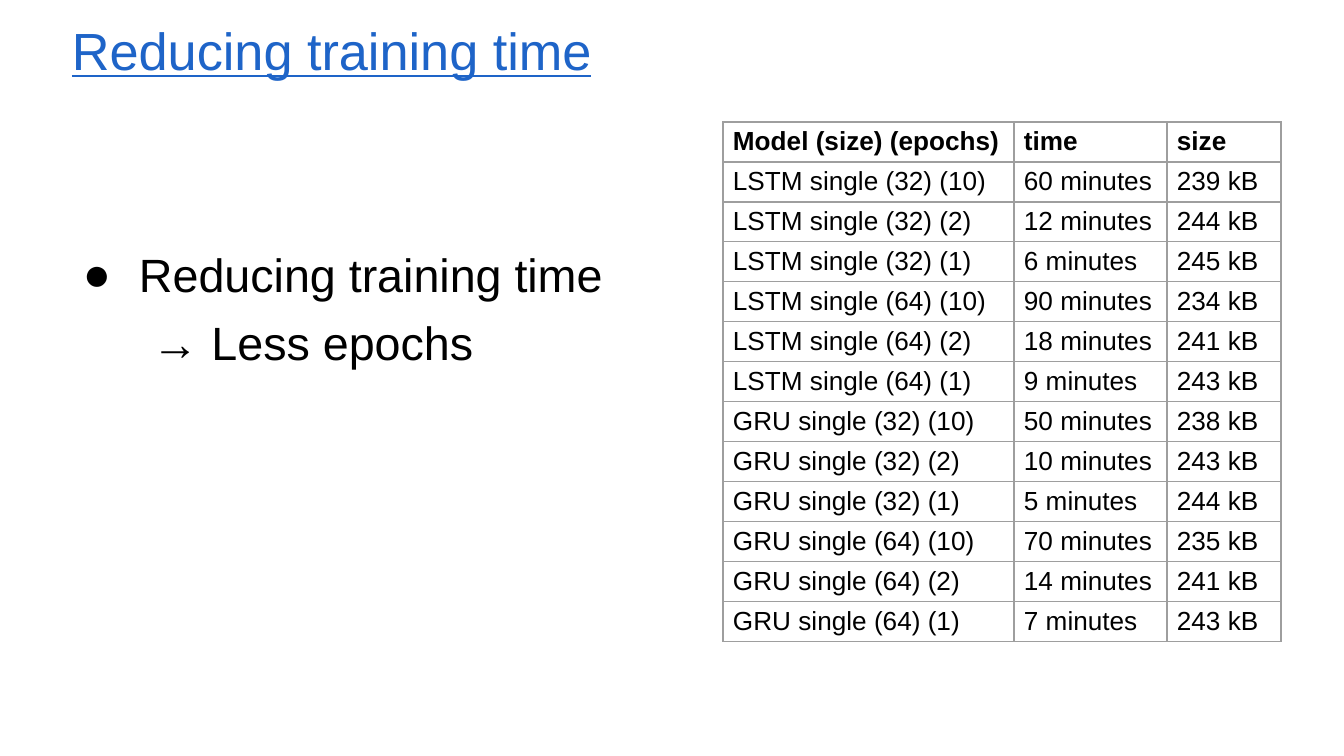
from lxml import etree
from pptx import Presentation
from pptx.dml.color import RGBColor
from pptx.enum.text import MSO_ANCHOR, MSO_AUTO_SIZE, PP_ALIGN
from pptx.oxml.ns import qn
from pptx.util import Emu, Pt

LEFT = PP_ALIGN.LEFT
TOP, MIDDLE = MSO_ANCHOR.TOP, MSO_ANCHOR.MIDDLE
NO_FIT = MSO_AUTO_SIZE.NONE
BLACK, LINK_BLUE, GRID_GREY = "000000", "1E64C8", "9E9E9E"


def px(n):
    return Emu(round(n * 9144000 / 1344))


def style(font, size, color, bold=False, underline=False):
    values = {"name": "Arial", "size": Pt(size), "bold": bold, "underline": underline}
    for key, value in values.items():
        setattr(font, key, value)
    font.color.rgb = RGBColor.from_string(color)


prs = Presentation()
prs.slide_width, prs.slide_height = px(1344), px(756)
slide = prs.slides.add_slide(prs.slide_layouts[1])
heading, advice = slide.placeholders

for holder, box, top_inset, anchor in (
    (heading, (65, 20, 1218, 67), 4, MIDDLE),
    (advice, (65, 93, 1216, 519), 142, TOP),
):
    for key, value in zip(("left", "top", "width", "height"), box):
        setattr(holder, key, px(value))
    frame_format = {
        "margin_left": px(7), "margin_right": px(7),
        "margin_top": px(top_inset), "margin_bottom": px(4),
        "vertical_anchor": anchor, "auto_size": NO_FIT, "word_wrap": True,
    }
    for key, value in frame_format.items():
        setattr(holder.text_frame, key, value)

heading.text_frame.text = "Reducing training time"
heading_line = heading.text_frame.paragraphs[0]
heading_line.alignment = LEFT
heading_line.line_spacing = 0.9
style(heading_line.runs[0].font, 28, LINK_BLUE, underline=True)

advice.text_frame.text = "Reducing training time\n → Less epochs"
for line, bullet, hanging in zip(advice.text_frame.paragraphs, ("●", None), (-56, 0)):
    line.alignment = LEFT
    line.line_spacing = 1.2
    line.space_before = Pt(0)
    style(line.runs[0].font, 25, BLACK)
    props = line._p.get_or_add_pPr()
    props.set("marL", str(px(67)))
    props.set("indent", str(px(hanging)))
    if bullet:
        bullet_color = etree.SubElement(props, qn("a:buClr"))
        etree.SubElement(bullet_color, qn("a:srgbClr"), val=BLACK)
        etree.SubElement(props, qn("a:buFont"), typeface="Arial")
        etree.SubElement(props, qn("a:buChar"), char=bullet)
    else:
        etree.SubElement(props, qn("a:buNone"))

results = [
    ("Model (size) (epochs)", "time", "size"),
    ("LSTM single (32) (10)", "60 minutes", "239 kB"),
    ("LSTM single (32) (2)", "12 minutes", "244 kB"),
    ("LSTM single (32) (1)", "6 minutes", "245 kB"),
    ("LSTM single (64) (10)", "90 minutes", "234 kB"),
    ("LSTM single (64) (2)", "18 minutes", "241 kB"),
    ("LSTM single (64) (1)", "9 minutes", "243 kB"),
    ("GRU single (32) (10)", "50 minutes", "238 kB"),
    ("GRU single (32) (2)", "10 minutes", "243 kB"),
    ("GRU single (32) (1)", "5 minutes", "244 kB"),
    ("GRU single (64) (10)", "70 minutes", "235 kB"),
    ("GRU single (64) (2)", "14 minutes", "241 kB"),
    ("GRU single (64) (1)", "7 minutes", "243 kB"),
]
column_widths = (291, 153, 114)
row_height = 40
timings = slide.shapes.add_table(
    len(results), len(column_widths), px(723), px(122),
    px(sum(column_widths)), px(row_height * len(results)),
).table
timings.first_row = timings.horz_banding = False
for column, width in zip(timings.columns, column_widths):
    column.width = px(width)

cell_format = {
    "margin_left": px(10), "margin_right": px(0),
    "margin_top": px(5), "margin_bottom": px(5), "vertical_anchor": TOP,
}
for r, result in enumerate(results):
    timings.rows[r].height = px(row_height)
    for c, value in enumerate(result):
        cell = timings.cell(r, c)
        cell.text = value
        for key, setting in cell_format.items():
            setattr(cell, key, setting)
        style(cell.text_frame.paragraphs[0].runs[0].font, 14, BLACK, bold=r == 0)
        cell_props = cell._tc.get_or_add_tcPr()
        for side in ("a:lnL", "a:lnR", "a:lnT", "a:lnB"):
            border = etree.SubElement(cell_props, qn(side), w=str(Pt(0.75)))
            border_fill = etree.SubElement(border, qn("a:solidFill"))
            etree.SubElement(border_fill, qn("a:srgbClr"), val=GRID_GREY)
        cell.fill.background()

prs.save("out.pptx")
